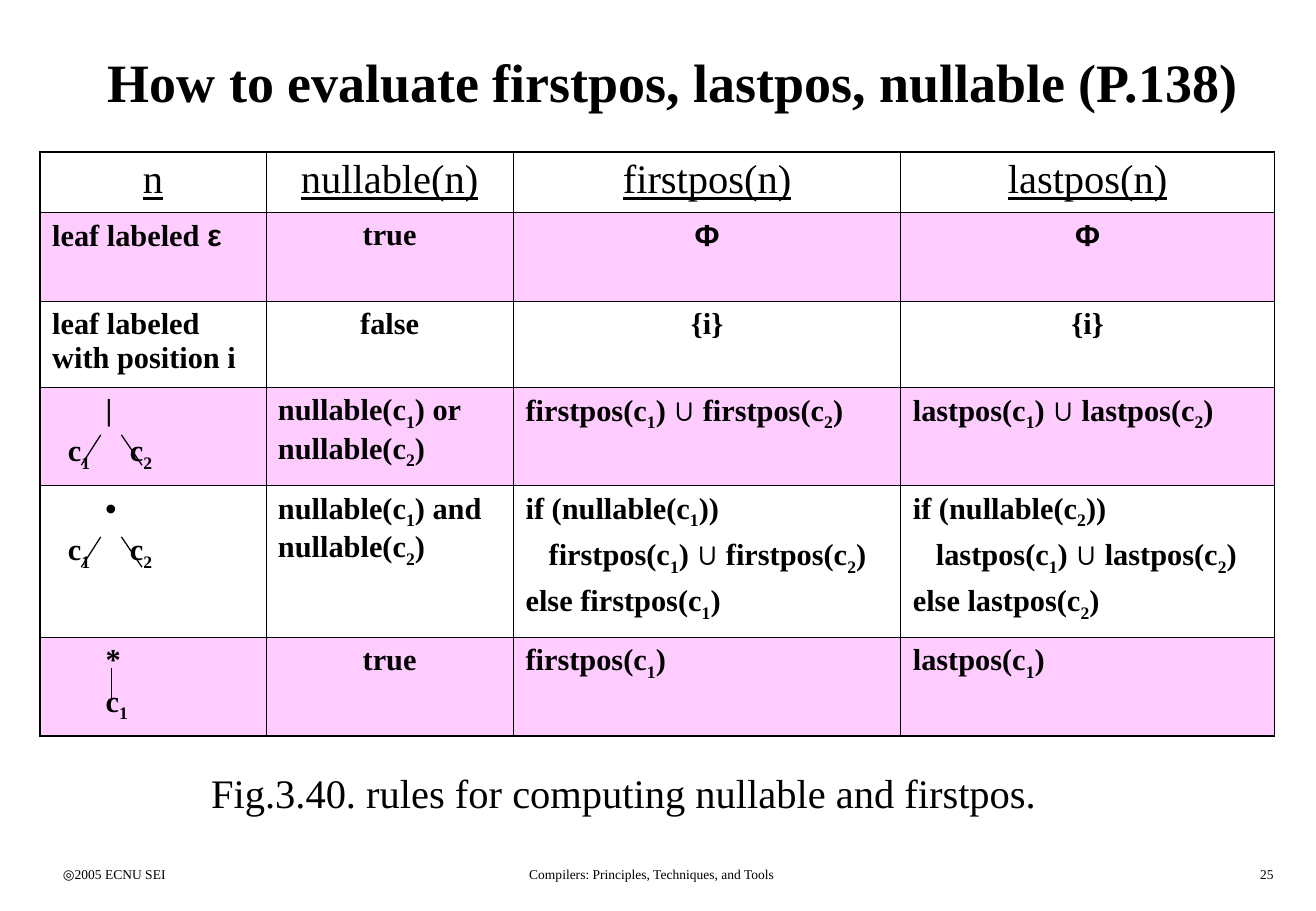
from itertools import groupby

from lxml.etree import SubElement
from pptx import Presentation
from pptx.dml.color import RGBColor
from pptx.enum.shapes import MSO_CONNECTOR as LINE
from pptx.enum.text import MSO_ANCHOR as ANCHOR, PP_ALIGN as ALIGN
from pptx.oxml.ns import qn
from pptx.util import Pt

L, C, R = ALIGN.LEFT, ALIGN.CENTER, ALIGN.RIGHT
OPERATOR, BODY = 44, 19  # left indents, px
TABS = (13, 64)  # the two children of a tree node, px
SUBSCRIPTS = {"₁": "1", "₂": "2"}
SYMBOLS = "εΦ∪•"

# A cell is its alignment, then its lines; a line is text or (indent, text).
RULES = [
    [(C, "n"), (C, "nullable(n)"), (C, "firstpos(n)"), (C, "lastpos(n)")],
    [(L, "leaf labeled ε"), (C, "true"), (C, "Φ"), (C, "Φ")],
    [(L, "leaf labeled with position i"), (C, "false"), (C, "{i}"), (C, "{i}")],
    [(L, (OPERATOR, "|"), "\tc₁\tc₂"),
     (L, "nullable(c₁) or nullable(c₂)"),
     (L, "firstpos(c₁) ∪ firstpos(c₂)"),
     (L, "lastpos(c₁) ∪ lastpos(c₂)")],
    [(L, (OPERATOR, "•"), "\tc₁\tc₂"),
     (L, "nullable(c₁) and nullable(c₂)"),
     (L, "if (nullable(c₁))", (BODY, "firstpos(c₁) ∪ firstpos(c₂)"),
      "else firstpos(c₁)"),
     (L, "if (nullable(c₂))", (BODY, "lastpos(c₁) ∪ lastpos(c₂)"),
      "else lastpos(c₂)")],
    [(L, (OPERATOR, "*"), (OPERATOR, "c₁")),
     (C, "true"), (L, "firstpos(c₁)"), (L, "lastpos(c₁)")],
]
SHADED_ROWS = (1, 3, 5)
COLUMN_WIDTHS = (186, 204, 319, 308)
ROW_HEIGHTS = (50, 73, 71, 81, 125, 81)
TABLE_LEFT, TABLE_TOP = 33, 125

# text, box, style, alignment, anchor
TEXTS = [
    ("◎2005 ECNU SEI", (42, 708, 226, 25), "footer", L, ANCHOR.TOP),
    ("Compilers: Principles, Techniques, and Tools", (334, 708, 406, 25),
     "footer", C, ANCHOR.TOP),
    ("25", (833, 708, 226, 25), "footer", R, ANCHOR.TOP),
    ("How to evaluate firstpos, lastpos, nullable (P.138)",
     (42, 17, 1025, 100), "title", C, ANCHOR.MIDDLE),
    ("Fig.3.40. rules for computing nullable and firstpos.",
     (164, 627, 772, 50), "caption", L, ANCHOR.TOP),
]

BRANCH_TOPS = (358, 442)
BRANCHES = ((83, 67), (100, 117))  # top x, bottom x
STEM_X, STEM_TOP = 92, 550
EDGE_DROP = 25

THEME = {
    "ink": RGBColor(0, 0, 0),
    "shade": RGBColor(0xFF, 0xCC, 0xFF),
    "font": "Times New Roman",
    "symbol font": "Arial",
    "title": {"size": Pt(32), "bold": True},
    "caption": {"size": Pt(24)},
    "header": {"size": Pt(24), "underline": True},
    "rule": {"size": Pt(18), "bold": True},
    "footer": {"size": Pt(8)},
    "line gap": Pt(4.5),
    "frame": Pt(1.08),
    "grid": Pt(0.45),
    "edge": Pt(0.75),
}


def px(length):
    """Turn px, 100 to the inch, into EMU."""
    return length * 9144


def write_line(paragraph, text, style, align, indent=0):
    """Write text with its subscripts lowered and its symbols in their font."""
    paragraph.alignment = align
    properties = paragraph._p.get_or_add_pPr()
    if indent:
        properties.set("marL", str(px(indent)))
    if "\t" in text:
        stops = SubElement(properties, qn("a:tabLst"))
        for stop in TABS:
            SubElement(stops, qn("a:tab"), pos=str(px(stop)), algn="l")
    pieces = groupby(text, lambda sign: (sign in SUBSCRIPTS, sign in SYMBOLS))
    for (lowered, symbol), signs in pieces:
        run = paragraph.add_run()
        run.text = "".join(SUBSCRIPTS.get(sign, sign) for sign in signs)
        run.font.name = THEME["symbol font" if symbol else "font"]
        run.font.color.rgb = THEME["ink"]
        for attribute, value in THEME[style].items():
            setattr(run.font, attribute, value)
        if lowered:
            run.font._element.set("baseline", "-25000")


def add_text(slide, text, box, style, align, anchor):
    frame = slide.shapes.add_textbox(*map(px, box)).text_frame
    frame.word_wrap = True
    frame.vertical_anchor = anchor
    write_line(frame.paragraphs[0], text, style, align)


def add_borders(cell, on_frame):
    """Rule the four sides, heavier where a side lies on the table's frame."""
    properties = cell._tc.get_or_add_tcPr()
    for side in "LRTB":
        width = THEME["frame" if on_frame[side] else "grid"]
        border = SubElement(properties, qn(f"a:ln{side}"), w=str(int(width)))
        fill = SubElement(border, qn("a:solidFill"))
        SubElement(fill, qn("a:srgbClr"), val=str(THEME["ink"]))


def add_rules(slide):
    last_row, last_column = len(ROW_HEIGHTS) - 1, len(COLUMN_WIDTHS) - 1
    table = slide.shapes.add_table(
        len(ROW_HEIGHTS), len(COLUMN_WIDTHS), px(TABLE_LEFT), px(TABLE_TOP),
        px(sum(COLUMN_WIDTHS)), px(sum(ROW_HEIGHTS))).table
    table.first_row = table.horz_banding = False
    for column, width in zip(table.columns, COLUMN_WIDTHS):
        column.width = px(width)
    for row, height in zip(table.rows, ROW_HEIGHTS):
        row.height = px(height)

    for r, rule in enumerate(RULES):
        for c, (align, *lines) in enumerate(rule):
            cell = table.cell(r, c)
            add_borders(cell, {"L": c == 0, "R": c == last_column,
                               "T": r == 0, "B": r == last_row})
            if r in SHADED_ROWS:
                cell.fill.solid()
                cell.fill.fore_color.rgb = THEME["shade"]
            else:
                cell.fill.background()
            frame = cell.text_frame
            for i, line in enumerate(lines):
                paragraph = frame.add_paragraph() if i else frame.paragraphs[0]
                indent, text = (0, line) if isinstance(line, str) else line
                write_line(paragraph, text, "rule" if r else "header",
                           align, indent)
                if i:
                    paragraph.space_before = THEME["line gap"]


def add_tree_edge(slide, top_x, top, bottom_x):
    ends = (top_x, top, bottom_x, top + EDGE_DROP)
    edge = slide.shapes.add_connector(LINE.STRAIGHT, *map(px, ends))
    edge.line.color.rgb = THEME["ink"]
    edge.line.width = THEME["edge"]
    SubElement(edge._element.spPr, qn("a:effectLst"))


def main():
    deck = Presentation()
    deck.slide_width, deck.slide_height = px(1084), px(750)
    slide = deck.slides.add_slide(deck.slide_layouts[6])
    add_rules(slide)
    for top in BRANCH_TOPS:
        for top_x, bottom_x in BRANCHES:
            add_tree_edge(slide, top_x, top, bottom_x)
    add_tree_edge(slide, STEM_X, STEM_TOP, STEM_X)
    for text in TEXTS:
        add_text(slide, *text)
    deck.save("out.pptx")


if __name__ == "__main__":
    main()
